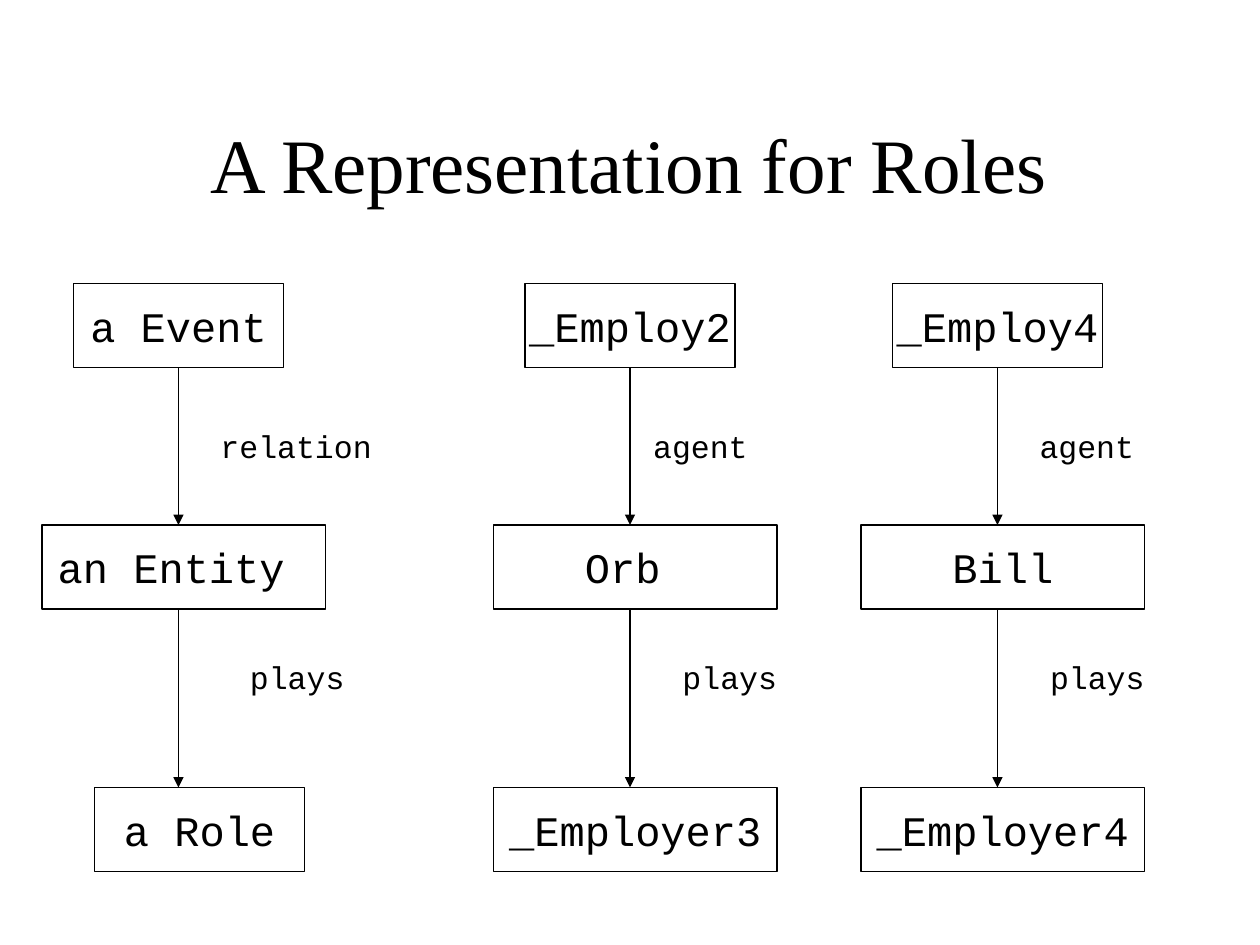
"""Build the slide on roles: three chains of event, entity and role."""
from dataclasses import dataclass

from lxml import etree
from pptx import Presentation
from pptx.dml.color import RGBColor
from pptx.enum.shapes import MSO_CONNECTOR, MSO_SHAPE
from pptx.enum.text import MSO_ANCHOR, PP_ALIGN
from pptx.oxml.ns import qn
from pptx.shapes.group import GroupShape
from pptx.text.text import TextFrame
from pptx.util import Inches, Length, Pt

RECTANGLE = MSO_SHAPE.RECTANGLE
STRAIGHT = MSO_CONNECTOR.STRAIGHT
MIDDLE = MSO_ANCHOR.MIDDLE
CENTER, LEFT = PP_ALIGN.CENTER, PP_ALIGN.LEFT

BLACK, WHITE = "000000", "FFFFFF"
SERIF, MONO = "Times New Roman", "Courier New"
CELLS_PER_INCH = 12
NODE_ROWS = (27, 50, 75)
LABEL_ROWS = (42.5, 64.5)
NODE_HEIGHT, LABEL_HEIGHT = 8, 4.8
NARROW, WIDE = 20, 27
LETTER_WIDTH = 1.8


@dataclass(frozen=True)
class Node:
    text: str
    offset: float
    width: float


@dataclass(frozen=True)
class Label:
    text: str
    offset: float


@dataclass(frozen=True)
class Chain:
    axis: float
    nodes: tuple[Node, ...]
    labels: tuple[Label, ...]


CHAINS = (
    Chain(17,
          (Node("a Event", -10, NARROW), Node("an Entity ", -13, WIDE), Node("a Role", -8, NARROW)),
          (Label("relation", 4), Label("plays", 6.8))),
    Chain(60,
          (Node("_Employ2", -10, NARROW), Node("Orb ", -13, WIDE), Node("_Employer3", -13, WIDE)),
          (Label("agent", 2.2), Label("plays", 5))),
    Chain(95,
          (Node("_Employ4", -10, NARROW), Node("Bill", -13, WIDE), Node("_Employer4", -13, WIDE)),
          (Label("agent", 4), Label("plays", 5))),
)


def cells(count: float) -> Length:
    return Inches(count / CELLS_PER_INCH)


def color(value: str) -> RGBColor:
    return RGBColor.from_string(value)


def write(frame: TextFrame, text: str, size: float, font: str, align: PP_ALIGN) -> None:
    frame.vertical_anchor = MIDDLE
    paragraph = frame.paragraphs[0]
    paragraph.alignment = align
    run = paragraph.add_run()
    run.text = text
    run.font.size = Pt(size)
    run.font.name = font
    run.font.color.rgb = color(BLACK)


def draw_node(group: GroupShape, node: Node, axis: float, row: float) -> None:
    box = group.shapes.add_shape(RECTANGLE, cells(axis + node.offset), cells(row),
                                 cells(node.width), cells(NODE_HEIGHT))
    box.shadow.inherit = False
    box.fill.solid()
    box.fill.fore_color.rgb = color(WHITE)
    box.line.color.rgb = color(BLACK)
    box.line.width = Pt(0.75)
    box.text_frame.word_wrap = False
    write(box.text_frame, node.text, 24, MONO, CENTER)


def draw_arrow(group: GroupShape, axis: float, start: float, end: float) -> None:
    arrow = group.shapes.add_connector(STRAIGHT, cells(axis), cells(start), cells(axis), cells(end))
    arrow.line.color.rgb = color(BLACK)
    arrow.line.width = Pt(0.75)
    etree.SubElement(arrow.line._get_or_add_ln(), qn("a:tailEnd"), type="triangle")
    etree.SubElement(arrow._element.spPr, qn("a:effectLst"))


def draw_label(group: GroupShape, label: Label, axis: float, middle: float) -> None:
    box = group.shapes.add_textbox(cells(axis + label.offset), cells(middle - LABEL_HEIGHT / 2),
                                   cells(len(label.text) * LETTER_WIDTH), cells(LABEL_HEIGHT))
    frame = box.text_frame
    frame.word_wrap = False
    frame.margin_left = frame.margin_right = 0
    write(frame, label.text, 18, MONO, LEFT)


def draw_chain(group: GroupShape, chain: Chain) -> None:
    for node, row in zip(chain.nodes, NODE_ROWS):
        draw_node(group, node, chain.axis, row)
    for upper, lower in zip(NODE_ROWS, NODE_ROWS[1:]):
        draw_arrow(group, chain.axis, upper + NODE_HEIGHT, lower)
    for label, middle in zip(chain.labels, LABEL_ROWS):
        draw_label(group, label, chain.axis, middle)


def main() -> None:
    deck = Presentation()
    deck.slide_width, deck.slide_height = Inches(10), Inches(7.5)
    slide = deck.slides.add_slide(deck.slide_layouts.get_by_name("Title Only"))
    title = slide.shapes.title
    title.left, title.top, title.width, title.height = map(cells, (9, 8, 101.8, 15))
    write(title.text_frame, "A Representation for Roles", 44, SERIF, CENTER)
    for chain in CHAINS:
        draw_chain(slide.shapes.add_group_shape(), chain)
    deck.save("out.pptx")


if __name__ == "__main__":
    main()
